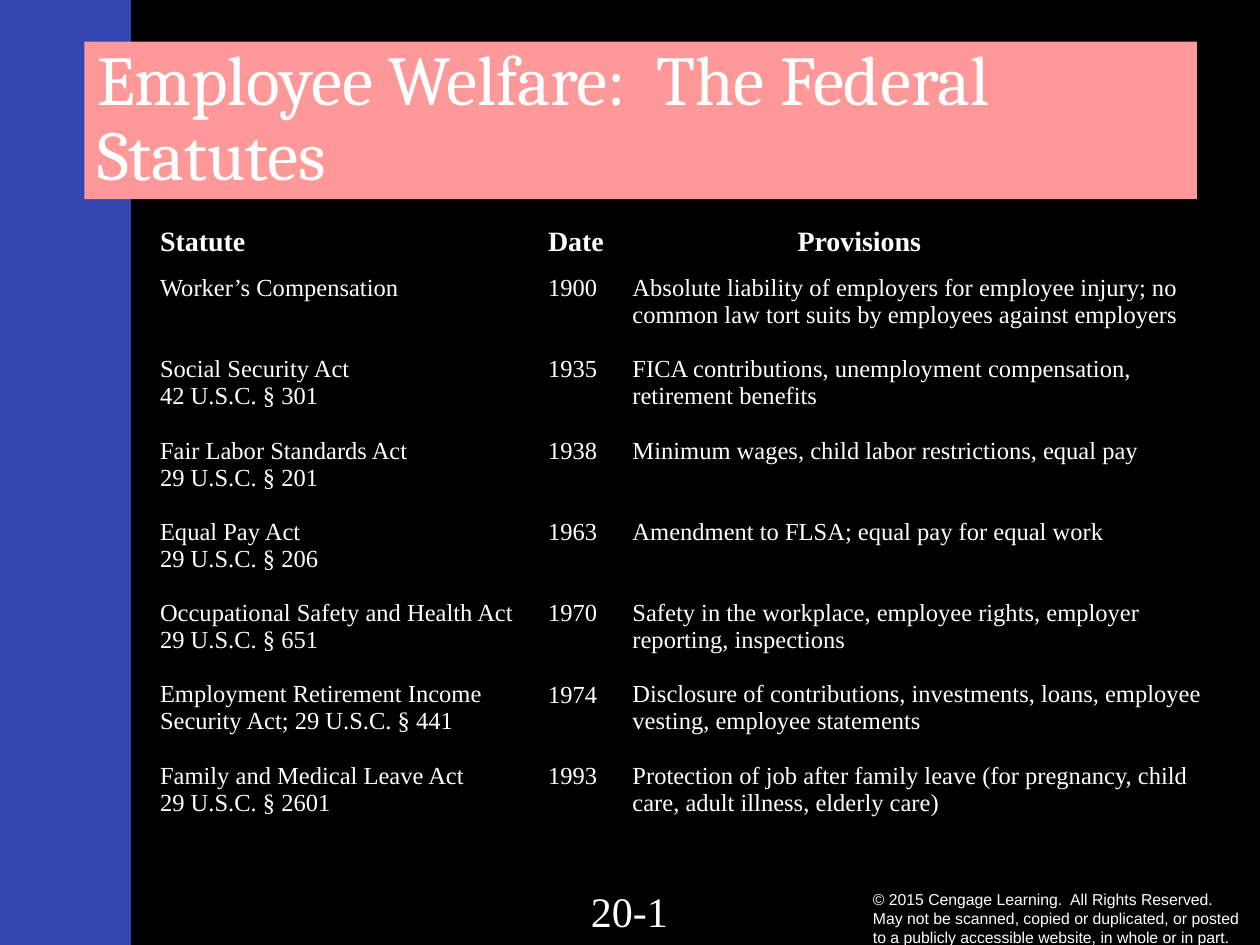
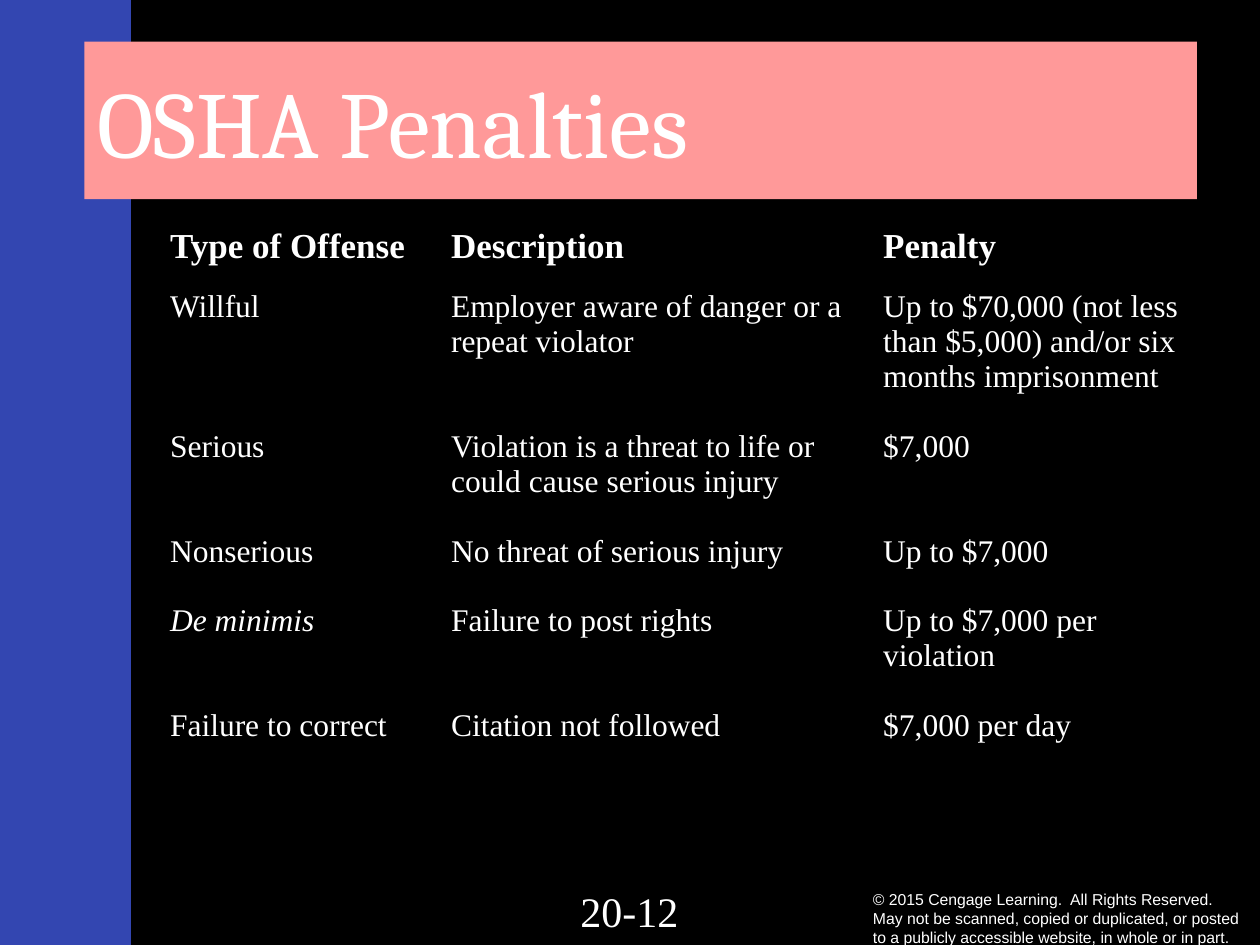
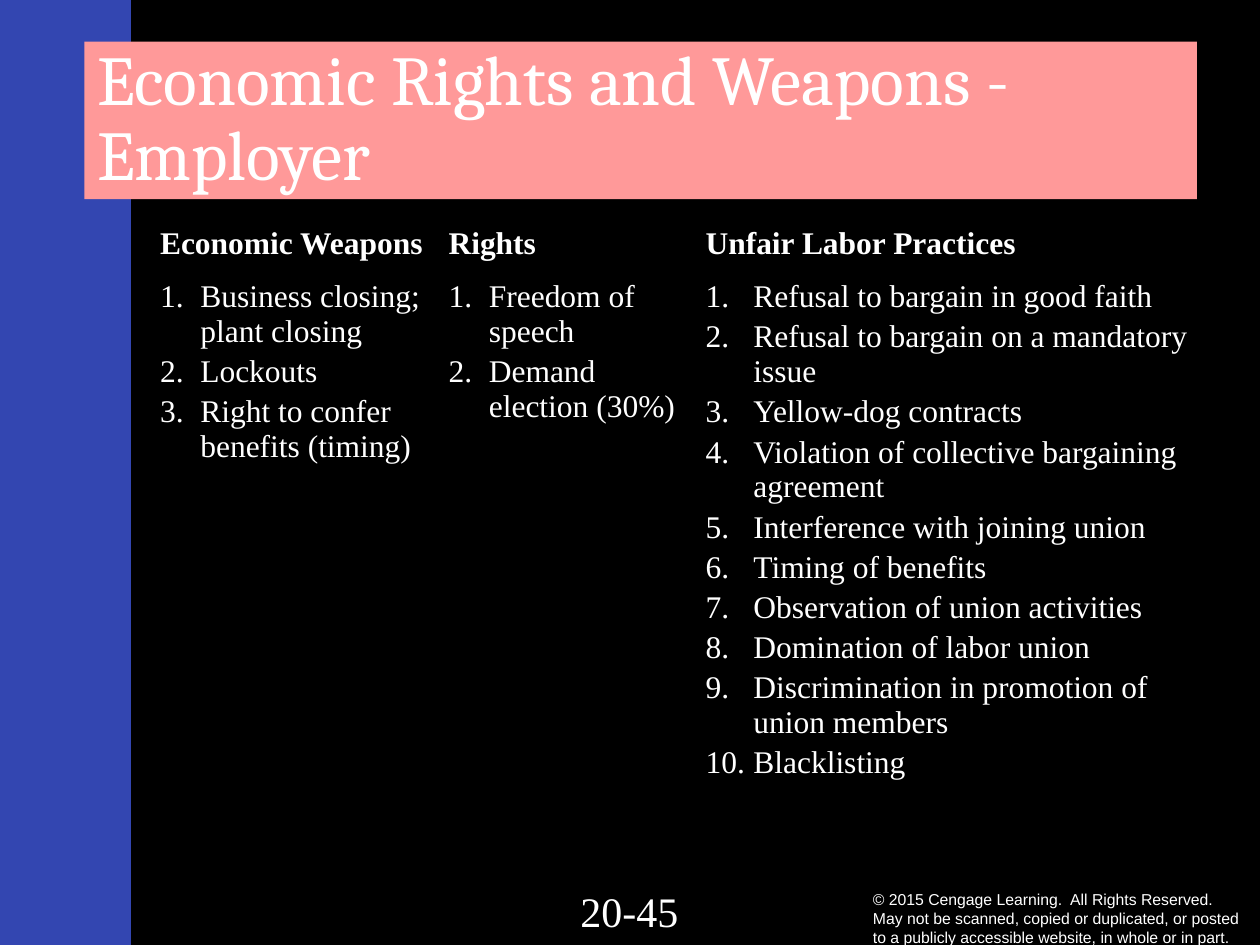
from dataclasses import dataclass
from typing import NamedTuple

from lxml.etree import SubElement
from pptx import Presentation
from pptx.dml.color import RGBColor
from pptx.enum.shapes import MSO_SHAPE
from pptx.enum.text import MSO_ANCHOR, MSO_AUTO_SIZE, PP_ALIGN
from pptx.oxml.ns import qn
from pptx.util import Inches, Pt


@dataclass(frozen=True)
class Theme:
    back: RGBColor = RGBColor(0x33, 0x46, 0xB1)
    panel: RGBColor = RGBColor(0x00, 0x00, 0x00)
    band: RGBColor = RGBColor(0xFF, 0x99, 0x99)
    ink: RGBColor = RGBColor(0xFF, 0xFF, 0xFF)
    title: str = "Cambria"
    body: str = "Times New Roman"
    small: str = "Arial"
    note_size: int = 9
    page_size: int = 24
    line: float = 1.107  # line height of the body font, in ems


class Line(NamedTuple):
    """A paragraph, with the number of empty lines left above it."""
    text: str
    gap: int = 0
    slant: bool = False


@dataclass(frozen=True)
class Grid:
    left: float
    cols: tuple[float, ...]
    rows: tuple[float, float]
    head: tuple[str | None, ...]
    body: tuple[list[Line] | None, ...]
    head_size: int
    body_size: int
    spans: tuple[tuple[int, int, int], ...] = ()  # row, first and last column
    dents: tuple[float, ...] = ()  # hanging indents of numbered lists


@dataclass(frozen=True)
class Page:
    number: str
    title: str
    title_size: int
    spacing: float
    grid: Grid


THEME = Theme()
NO_STYLE = "{2D5ABB26-0587-4C30-8999-92F81FD0307C}"
NOTICE = ("© 2015 Cengage Learning.  All Rights Reserved.  May not be scanned, "
          "copied or duplicated, or posted to a publicly accessible website, "
          "in whole or in part.")


def plain(*texts: str) -> list[Line]:
    return [Line(text) for text in texts]


STATUTES = Grid(
    1.17, (3.08, 0.67, 1.31, 3.52), (0.38, 4.87),
    ("Statute", "Date", None, "Provisions"),
    (
        [
            Line("Worker’s Compensation"),
            Line("Social Security Act", 2), Line("42 U.S.C. § 301"),
            Line("Fair Labor Standards Act", 1), Line("29 U.S.C. § 201"),
            Line("Equal Pay Act", 1), Line("29 U.S.C. § 206"),
            Line("Occupational Safety and Health Act", 1), Line("29 U.S.C. § 651"),
            Line("Employment Retirement Income Security Act; 29 U.S.C. § 441", 1),
            Line("Family and Medical Leave Act", 1), Line("29 U.S.C. § 2601"),
        ],
        [Line(year, 2) for year in
         ("1900", "1935", "1938", "1963", "1970", "1974", "1993")],
        [
            Line("Absolute liability of employers for employee injury; no common "
                 "law tort suits by employees against employers"),
            Line("FICA contributions, unemployment compensation, "
                 "retirement benefits", 1),
            Line("Minimum wages, child labor restrictions, equal pay", 1),
            Line("Amendment to FLSA; equal pay for equal work", 2),
            Line("Safety in the workplace, employee rights, employer reporting, "
                 "inspections", 2),
            Line("Disclosure of contributions, investments, loans, employee "
                 "vesting, employee statements", 1),
            Line("Protection of job after family leave (for pregnancy, child "
                 "care, adult illness, elderly care)", 1),
        ],
        None,
    ),
    16, 14, spans=((0, 1, 2), (1, 2, 3)),
)

FINES = Grid(
    1.25, (2.23, 3.43, 2.83), (0.5, 4.6),
    ("Type of Offense", "Description", "Penalty"),
    (
        [
            Line("Willful"), Line("Serious", 3), Line("Nonserious", 2),
            Line("De minimis", 1, True), Line("Failure to correct", 2),
        ],
        [
            Line("Employer aware of danger or a repeat violator"),
            Line("Violation is a threat to life or could cause serious injury", 2),
            Line("No threat of serious injury", 1),
            Line("Failure to post rights", 1),
            Line("Citation not followed", 2),
        ],
        [
            Line("Up to $70,000 (not less than $5,000) and/or six months "
                 "imprisonment"),
            Line("$7,000", 1), Line("Up to $7,000", 2),
            Line("Up to $7,000 per violation", 1), Line("$7,000 per day", 1),
        ],
    ),
    20, 18,
)

RIGHTS = Grid(
    1.17, (2.29, 2.04, 4.33), (0.42, 5.21),
    ("Economic Weapons", "Rights", "Unfair Labor Practices"),
    (
        plain("Business closing; plant closing", "Lockouts",
              "Right to confer benefits (timing)"),
        plain("Freedom of speech", "Demand election (30%)"),
        plain("Refusal to bargain in good faith",
              "Refusal to bargain on a mandatory issue",
              "Yellow-dog contracts",
              "Violation of collective bargaining agreement",
              "Interference with joining union",
              "Timing of benefits",
              "Observation of union activities",
              "Domination of labor union",
              "Discrimination in promotion of union members",
              "Blacklisting"),
    ),
    18, 18, dents=(0.32, 0.32, 0.38),
)

PAGES = (
    Page("20-1", "Employee Welfare:  The Federal Statutes", 40, 0.9, STATUTES),
    Page("20-12", "OSHA Penalties", 54, 1.0, FINES),
    Page("20-45", "Economic Rights and Weapons - Employer", 40, 0.9, RIGHTS),
)


def style(para, size: float, face: str, bold: bool = False,
          slant: bool = False) -> None:
    for run in para.runs:
        font = run.font
        font.name, font.size = face, Pt(size)
        font.bold, font.italic = bold, slant
        font.color.rgb = THEME.ink


def number(para, dent: float) -> None:
    """Make the paragraph an item of a numbered list."""
    props = para._p.get_or_add_pPr()
    props.set("marL", str(Inches(dent)))
    props.set("indent", str(-Inches(dent)))
    SubElement(props, qn("a:buAutoNum"), type="arabicPeriod")


def add_text(slide, box: tuple[float, ...], text: str, size: int, face: str):
    frame = slide.shapes.add_textbox(*map(Inches, box)).text_frame
    frame.word_wrap = True
    frame.text = text
    style(frame.paragraphs[0], size, face)
    return frame


def set_frame(slide, layout) -> None:
    """Draw the shared panel and notice once and hand them to the layout."""
    panel = slide.shapes.add_shape(
        MSO_SHAPE.RECTANGLE, *map(Inches, (1.04, 0, 8.96, 7.5)))
    panel.shadow.inherit = False
    panel.fill.solid()
    panel.fill.fore_color.rgb = THEME.panel
    panel.line.fill.background()
    notice = add_text(slide, (6.83, 7.01, 3.17, 0.56), NOTICE,
                      THEME.note_size, THEME.small)
    notice.vertical_anchor = MSO_ANCHOR.MIDDLE
    for shape in (panel, slide.shapes[-1]):
        layout.shapes.element.append(shape.element)


def set_title(slide, page: Page) -> None:
    title = slide.shapes.title
    title.left, title.top, title.width, title.height = map(
        Inches, (0.67, 0.33, 8.83, 1.25))
    title.fill.solid()
    title.fill.fore_color.rgb = THEME.band
    frame = title.text_frame
    frame.text = page.title
    frame.word_wrap = True
    frame.auto_size = MSO_AUTO_SIZE.NONE
    frame.vertical_anchor = MSO_ANCHOR.MIDDLE
    para = frame.paragraphs[0]
    para.alignment = PP_ALIGN.LEFT
    para.line_spacing = page.spacing
    style(para, page.title_size, THEME.title)


def fill_body(frame, lines: list[Line], size: int, dent: float | None) -> None:
    frame.text = "\n".join(line.text for line in lines)
    for spot, (para, line) in enumerate(zip(frame.paragraphs, lines)):
        if dent:
            number(para, dent)
        if spot:
            gap = 3 if dent else line.gap * size * THEME.line
            para.space_before = Pt(gap)
        style(para, size, THEME.body, slant=line.slant)


def add_grid(slide, grid: Grid) -> None:
    shape = slide.shapes.add_table(
        2, len(grid.cols), Inches(grid.left), Inches(1.75),
        Inches(sum(grid.cols)), Inches(sum(grid.rows)))
    table = shape.table
    table.first_row = table.horz_banding = False
    for mark in shape.element.iter(qn("a:tableStyleId")):
        mark.text = NO_STYLE
    for col, width in zip(table.columns, grid.cols):
        col.width = Inches(width)
    for row, height in zip(table.rows, grid.rows):
        row.height = Inches(height)
    for cell in table.iter_cells():
        cell.fill.background()
    for row, first, last in grid.spans:
        table.cell(row, first).merge(table.cell(row, last))
    for col, (head, lines) in enumerate(zip(grid.head, grid.body)):
        if head:
            frame = table.cell(0, col).text_frame
            frame.text = head
            style(frame.paragraphs[0], grid.head_size, THEME.body, bold=True)
        if lines:
            dent = grid.dents[col] if grid.dents else None
            fill_body(table.cell(1, col).text_frame, lines,
                      grid.body_size, dent)


def main() -> None:
    deck = Presentation()
    deck.slide_width, deck.slide_height = Inches(10), Inches(7.5)
    back = deck.slide_master.background.fill
    back.solid()
    back.fore_color.rgb = THEME.back
    layout = deck.slide_layouts[5]
    for holder in list(layout.placeholders)[1:]:
        layout.shapes.element.remove(holder.element)
    for spot, page in enumerate(PAGES):
        slide = deck.slides.add_slide(layout)
        if spot == 0:
            set_frame(slide, layout)
        label = add_text(slide, (3.83, 6.98, 2.33, 0.52), page.number,
                         THEME.page_size, THEME.body)
        label.paragraphs[0].alignment = PP_ALIGN.CENTER
        set_title(slide, page)
        add_grid(slide, page.grid)
    deck.save("out.pptx")


if __name__ == "__main__":
    main()
